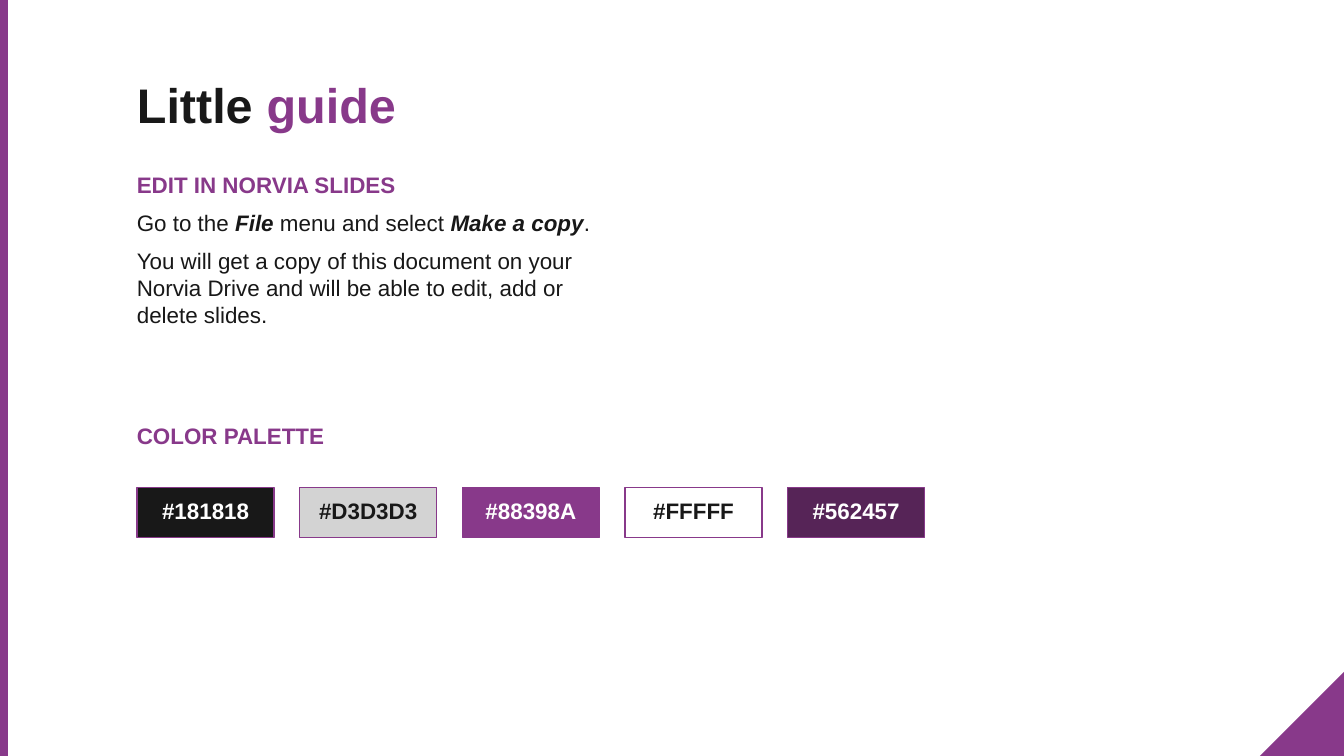
from dataclasses import dataclass

from pptx import Presentation
from pptx.dml.color import RGBColor
from pptx.enum.shapes import MSO_SHAPE
from pptx.enum.text import MSO_ANCHOR, PP_ALIGN
from pptx.util import Inches, Pt

RECT = MSO_SHAPE.RECTANGLE
WEDGE = MSO_SHAPE.RIGHT_TRIANGLE
TOP, BOTTOM = MSO_ANCHOR.TOP, MSO_ANCHOR.BOTTOM
LEFT, CENTER = PP_ALIGN.LEFT, PP_ALIGN.CENTER

WIDE = 10
HIGH = WIDE * 9 / 16
SIDE = WIDE / 16

COLORS = {
    "ink": "181818",
    "gray": "D3D3D3",
    "plum": "88398A",
    "white": "FFFFFF",
    "dark": "562457",
}


@dataclass
class Run:
    text: str
    color: str = "ink"
    bold: bool = False
    italic: bool = False


@dataclass
class Block:
    box: tuple[float, float, float, float]
    paras: list[list[Run]]
    size: int = 12
    space: int = 6


@dataclass
class Swatch:
    label: str
    fill: str
    ink: str


BLOCKS = [
    Block((0.92, 0.46, 2.48, 0.94),
          [[Run("Little ", bold=True), Run("guide", "plum", True)]],
          size=26, space=0),
    Block((0.92, 1.17, 3.63, 1.49), [
        [Run("EDIT IN NORVIA SLIDES", "plum", True)],
        [Run("Go to the "), Run("File", bold=True, italic=True),
         Run(" menu and select "),
         Run("Make a copy", bold=True, italic=True), Run(".")],
        [Run("You will get a copy of this document on your Norvia Drive "
             "and will be able to edit, add or delete slides.")],
    ]),
    Block((0.92, 3.04, 3.63, 0.59), [[Run("COLOR PALETTE", "plum", True)]]),
]

SWATCHES = [
    Swatch("#181818", "ink", "white"),
    Swatch("#D3D3D3", "gray", "ink"),
    Swatch("#88398A", "plum", "white"),
    Swatch("#FFFFF", "white", "ink"),
    Swatch("#562457", "dark", "white"),
]


def tint(name: str) -> RGBColor:
    return RGBColor.from_string(COLORS[name])


def apply(target, style: dict) -> None:
    for key, value in style.items():
        setattr(target, key, value)


def write(shape, block: Block, align=LEFT, anchor=TOP) -> None:
    frame = shape.text_frame
    pad = Inches(0.1)
    apply(frame, {"word_wrap": True, "vertical_anchor": anchor,
                  "margin_left": pad, "margin_right": pad,
                  "margin_top": pad, "margin_bottom": pad})
    for i, runs in enumerate(block.paras):
        para = frame.add_paragraph() if i else frame.paragraphs[0]
        apply(para, {"alignment": align, "line_spacing": 1.0,
                     "space_before": Pt(block.space)})
        for item in runs:
            run = para.add_run()
            run.text = item.text
            apply(run.font, {"name": "Arial", "size": Pt(block.size),
                             "bold": item.bold, "italic": item.italic})
            run.font.color.rgb = tint(item.color)


def draw_shape(slide, kind, box: tuple, fill: str, line: str = ""):
    shape = slide.shapes.add_shape(kind, *map(Inches, box))
    shape.shadow.inherit = False
    shape.fill.solid()
    shape.fill.fore_color.rgb = tint(fill)
    if line:
        shape.line.color.rgb = tint(line)
        shape.line.width = Pt(0.75)
    else:
        shape.line.fill.background()
    return shape


def draw_block(slide, block: Block) -> None:
    write(slide.shapes.add_textbox(*map(Inches, block.box)), block)


def draw_swatch(slide, swatch: Swatch, index: int) -> None:
    box = (1.02 + index * 1.21, 3.63, 1.02, 0.37)
    shape = draw_shape(slide, RECT, box, swatch.fill, "plum")
    label = Block(box, [[Run(swatch.label, swatch.ink, True)]])
    write(shape, label, CENTER, BOTTOM)


def main() -> None:
    deck = Presentation()
    apply(deck, {"slide_width": Inches(WIDE), "slide_height": Inches(HIGH)})
    slide = deck.slides.add_slide(deck.slide_layouts[6])
    corner = draw_shape(slide, WEDGE,
                        (WIDE - SIDE, HIGH - SIDE, SIDE, SIDE), "plum")
    corner.rotation = 270
    draw_shape(slide, RECT, (0, 0, 0.06, HIGH), "plum")
    for block in BLOCKS:
        draw_block(slide, block)
    for index, swatch in enumerate(SWATCHES):
        draw_swatch(slide, swatch, index)
    deck.save("out.pptx")


if __name__ == "__main__":
    main()
